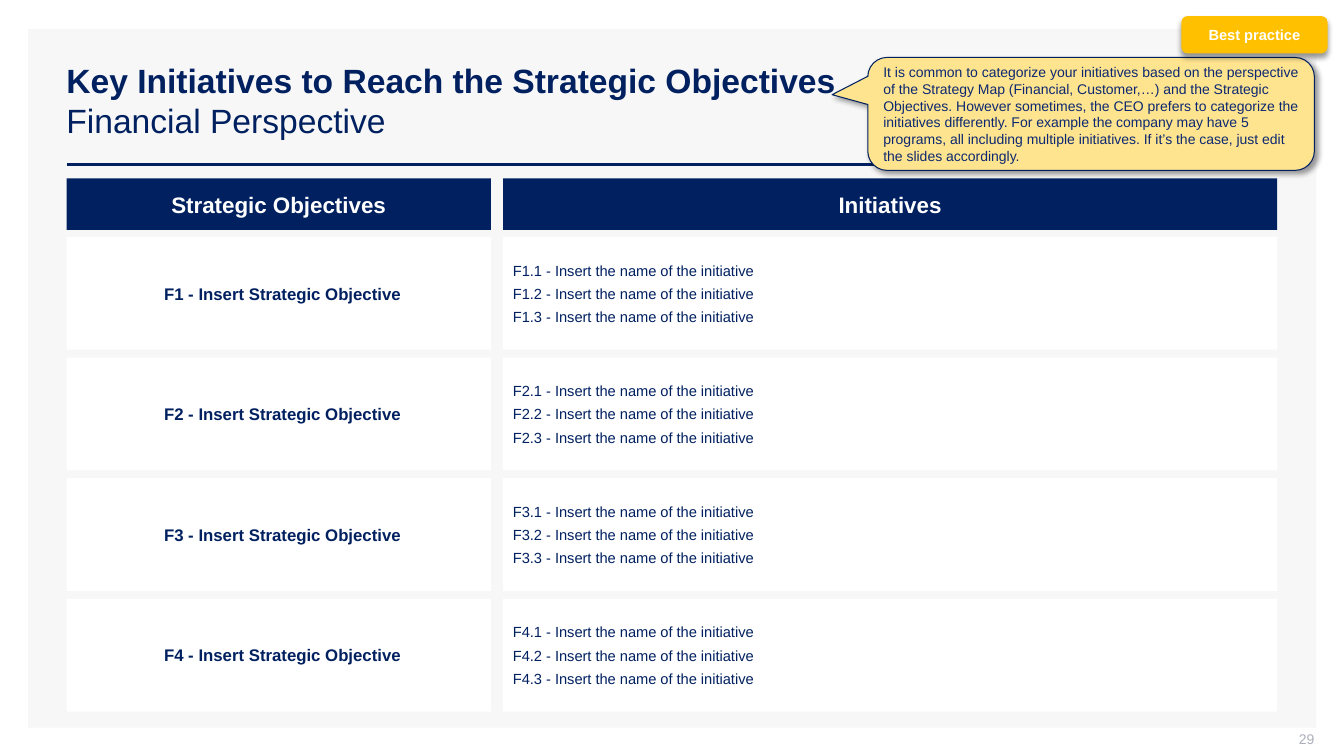
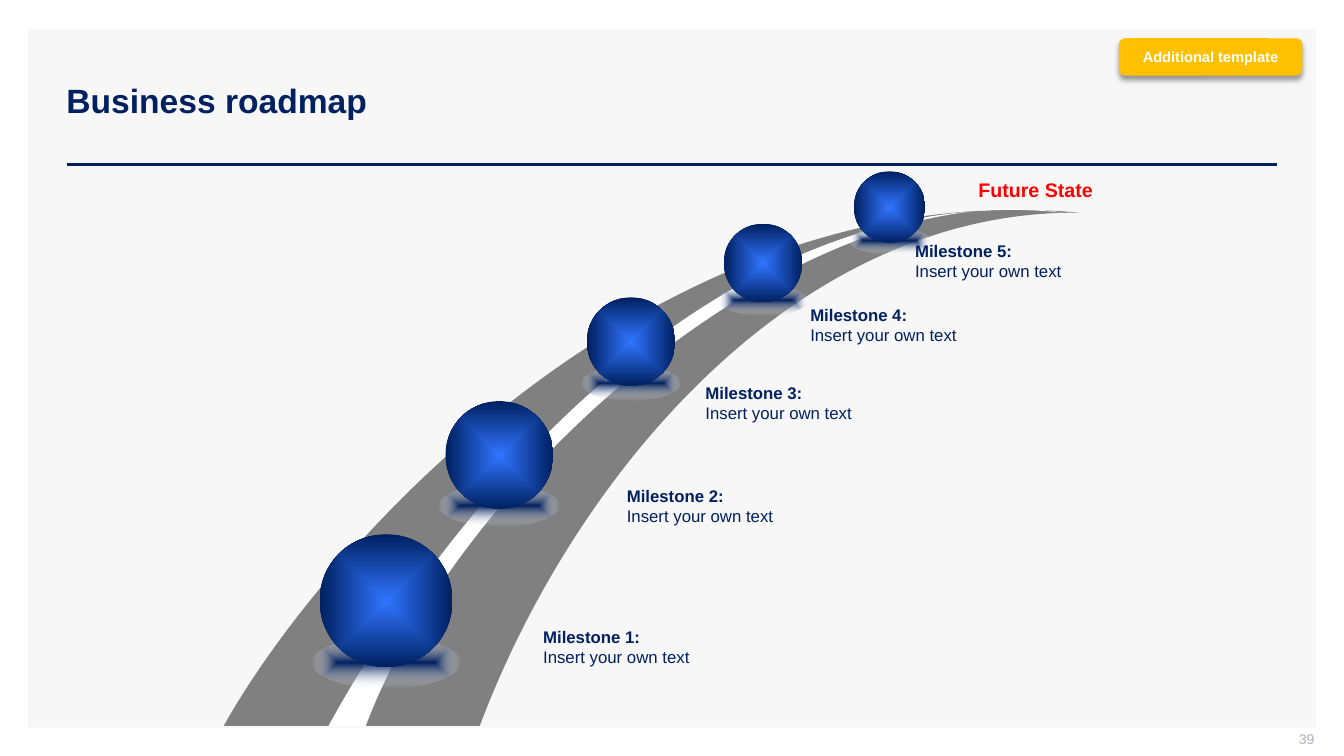
from lxml import etree
from pptx import Presentation
from pptx.dml.color import RGBColor
from pptx.enum.dml import MSO_LINE
from pptx.enum.shapes import MSO_CONNECTOR, MSO_SHAPE
from pptx.enum.text import MSO_ANCHOR, MSO_AUTO_SIZE, PP_ALIGN
from pptx.oxml import parse_xml
from pptx.oxml.ns import nsdecls, qn
from pptx.util import Inches, Pt

RECTANGLE = MSO_SHAPE.RECTANGLE
ROUNDED = MSO_SHAPE.ROUNDED_RECTANGLE
CALLOUT = MSO_SHAPE.ROUNDED_RECTANGULAR_CALLOUT
OVAL = MSO_SHAPE.OVAL
STRAIGHT = MSO_CONNECTOR.STRAIGHT
DASH = MSO_LINE.DASH
TOP, MIDDLE = MSO_ANCHOR.TOP, MSO_ANCHOR.MIDDLE
GROW = MSO_AUTO_SIZE.SHAPE_TO_FIT_TEXT
LEFT, CENTER, RIGHT = PP_ALIGN.LEFT, PP_ALIGN.CENTER, PP_ALIGN.RIGHT

FONT = "Arial"
NAVY, WHITE, PANEL, AMBER = "002060", "FFFFFF", "F7F7F7", "FFC000"
PALE_AMBER, NOTE_TEXT, PAGE_GREY = "FFE48F", "0C2870", "ADAFBB"
ROAD_GREY, RED, BRIGHT_BLUE = "808080", "FF0000", "3075FF"

CONTENT_LEFT, CONTENT_RIGHT = 0.66, 12.67
CELL_MARGINS = (0.1, 0.05, 0.02, 0.05)


def color(hex_value):
    return RGBColor.from_string(hex_value)


def write(shape, lines, size=12, ink=NAVY, bold=False, align=LEFT, anchor=MIDDLE,
          margins=(0.1, 0.05, 0.1, 0.05), gap=0, one_paragraph=False, grow=False):
    """Fill a shape with lines, each a string or a (string, bold) pair."""
    frame = shape.text_frame
    frame.word_wrap = True
    frame.vertical_anchor = anchor
    if grow:
        frame.auto_size = GROW
    (frame.margin_left, frame.margin_top,
     frame.margin_right, frame.margin_bottom) = map(Inches, margins)
    paragraph = frame.paragraphs[0]
    for index, line in enumerate(lines):
        text, is_bold = (line, bold) if isinstance(line, str) else line
        if index and one_paragraph:
            paragraph.add_line_break()
        elif index:
            paragraph = frame.add_paragraph()
            if gap:
                paragraph.space_before = Pt(gap)
        paragraph.alignment = align
        run = paragraph.add_run()
        run.text = text
        run.font.name, run.font.size, run.font.bold = FONT, Pt(size), is_bold
        run.font.color.rgb = color(ink)


def add_text(slide, box, lines, **text_format):
    write(slide.shapes.add_textbox(*map(Inches, box)), lines, **text_format)


def paint(shape, fill, line=None):
    shape.shadow.inherit = False
    shape.fill.solid()
    shape.fill.fore_color.rgb = color(fill)
    if line:
        shape.line.color.rgb = color(line)
        shape.line.width = Pt(0.75)
    else:
        shape.line.fill.background()


def add_box(slide, kind, box, fill, line=None):
    shape = slide.shapes.add_shape(kind, *map(Inches, box))
    paint(shape, fill, line)
    return shape


def add_line(slide, start, end, ink, width):
    line = slide.shapes.add_connector(STRAIGHT, *map(Inches, (*start, *end)))
    line.line.color.rgb = color(ink)
    line.line.width = Pt(width)
    etree.SubElement(line._element.spPr, qn("a:effectLst"))
    return line


def drop_shadow(shape, angle):
    effects = shape._element.spPr.find(qn("a:effectLst"))
    effects.append(parse_xml(
        f'<a:outerShdw {nsdecls("a")} blurRad="{Pt(4)}" dist="{Pt(3)}" '
        f'dir="{angle * 60000}" algn="ctr" rotWithShape="0"><a:srgbClr val="000000">'
        '<a:alpha val="40000"/></a:srgbClr></a:outerShdw>'))


def radial_fill(shape, inner, outer, outer_alpha=100):
    solid = shape._element.spPr.find(qn("a:solidFill"))
    gradient = parse_xml(
        f'<a:gradFill {nsdecls("a")} rotWithShape="1"><a:gsLst>'
        f'<a:gs pos="0"><a:srgbClr val="{inner}"/></a:gs>'
        f'<a:gs pos="100000"><a:srgbClr val="{outer}">'
        f'<a:alpha val="{outer_alpha * 1000}"/></a:srgbClr></a:gs></a:gsLst>'
        '<a:path path="shape"><a:fillToRect l="50000" t="50000" r="50000" b="50000"/>'
        '</a:path></a:gradFill>')
    solid.getparent().replace(solid, gradient)


def add_frame(presentation, title_lines, page):
    """Start a slide with the shared panel, rule, title and page number."""
    slide = presentation.slides.add_slide(presentation.slide_layouts[6])
    add_box(slide, RECTANGLE, (0.28, 0.29, 12.78, 6.93), PANEL)
    add_line(slide, (CONTENT_LEFT, 1.63), (CONTENT_RIGHT, 1.63), NAVY, 2)
    add_text(slide, (0.56, 0.4, 12.11, 1.19), title_lines, size=24, one_paragraph=True)
    add_text(slide, (10.04, 7.25, 3, 0.21), [str(page)], size=10, ink=PAGE_GREY,
             align=RIGHT, margins=(0.1, 0, 0, 0.05))
    return slide


def add_tag(slide, box, text):
    tag = add_box(slide, ROUNDED, box, AMBER)
    drop_shadow(tag, 90)
    write(tag, [text], size=10.5, ink=WHITE, bold=True, align=CENTER)


def add_note(slide, box, text):
    note = add_box(slide, CALLOUT, box, PALE_AMBER, NAVY)
    for index, value in enumerate((-0.58, -0.17, 0.17)):
        note.adjustments[index] = value
    drop_shadow(note, 45)
    write(note, [text], size=10, ink=NOTE_TEXT)


def add_objectives_grid(slide, box, rows=4, initiatives=3):
    left, top, width, height = box
    header_height, header_gap, row_height, column_gap = 0.51, 0.07, 1.12, 0.12
    objective_width = 4.21
    columns = ((left, objective_width),
               (left + objective_width + column_gap, width - objective_width - column_gap))

    # Column headings
    for (x, w), heading in zip(columns, ("Strategic Objectives", "Initiatives")):
        header = add_box(slide, RECTANGLE, (x, top, w, header_height), NAVY)
        write(header, [heading], size=16, ink=WHITE, bold=True, align=CENTER)

    # One row for each objective
    first_row = top + header_height + header_gap
    pitch = (top + height - row_height - first_row) / (rows - 1)
    for row in range(rows):
        code = f"F{row + 1}"
        objective, initiative = (
            add_box(slide, RECTANGLE, (x, first_row + row * pitch, w, row_height), WHITE)
            for x, w in columns)
        write(objective, [f"{code} - Insert Strategic Objective"], bold=True,
              align=CENTER, margins=CELL_MARGINS)
        write(initiative,
              [f"{code}.{number + 1} - Insert the name of the initiative"
               for number in range(initiatives)],
              size=10.5, margins=CELL_MARGINS, gap=4)


def curve_point(curve, t):
    weights = ((1 - t) ** 3, 3 * t * (1 - t) ** 2, 3 * t * t * (1 - t), t ** 3)
    return tuple(Inches(sum(weight * point[axis] for weight, point in zip(weights, curve)))
                 for axis in (0, 1))


def add_lane(slide, left_edge, right_edge, fill):
    """Fill the area between an edge going up and an edge coming back down."""
    # Sampled points give the shape its bounds
    samples = [curve_point(edge, step / 60)
               for edge in (left_edge, right_edge) for step in range(61)]
    builder = slide.shapes.build_freeform(*samples[0])
    builder.add_line_segments(samples[1:], close=True)
    lane = builder.convert_to_shape()
    paint(lane, fill)

    # Two true curves take the place of the sampled segments
    outline = next(lane._element.iter(qn("a:path")))
    for segment in list(outline)[1:-1]:
        outline.remove(segment)
    for position, edge in enumerate((left_edge, right_edge), 1):
        curve = etree.Element(qn("a:cubicBezTo"))
        for x, y in edge[1:]:
            etree.SubElement(curve, qn("a:pt"), x=str(Inches(x) - lane.left),
                             y=str(Inches(y) - lane.top))
        outline.insert(position, curve)


def add_road(slide, left, bottom):
    def place(*offsets):
        return [(left + x, bottom - y) for x, y in offsets]

    # Asphalt, then centre stripe
    add_lane(slide,
             place((0, 0), (0.93, 1.67), (4.21, 5.49), (8.49, 5.09)),
             place((8.49, 5.09), (5.65, 5.12), (3.46, 2.45), (2.54, 0)), ROAD_GREY)
    add_lane(slide,
             place((1.04, 0), (1.95, 1.67), (4.67, 5.48), (8.33, 5.09)),
             place((8.33, 5.09), (5.71, 5.5), (2.32, 2.45), (1.41, 0)), WHITE)

    # Thin dashed mark across the stripe
    mark = add_line(slide, *place((3.25, 3.16), (3.42, 3.16)), ROAD_GREY, 0.5)
    mark.line.dash_style = DASH


def add_ball(slide, left, top, size):
    shade_width = 1.12 * size
    shade = add_box(slide, OVAL, (left - 0.06 * size, top + 0.77 * size,
                                  shade_width, 0.35 * shade_width), NAVY)
    radial_fill(shade, NAVY, WHITE, outer_alpha=0)
    ball = add_box(slide, OVAL, (left, top, size, size), NAVY)
    radial_fill(ball, BRIGHT_BLUE, NAVY)


def build_initiatives(presentation):
    slide = add_frame(presentation, [
        ("Key Initiatives to Reach the Strategic Objectives", True),
        "Financial Perspective"], 29)
    add_objectives_grid(
        slide, (CONTENT_LEFT, 1.77, CONTENT_RIGHT - CONTENT_LEFT, 5.29))
    add_note(slide, (8.61, 0.57, 4.43, 1.12),
             "It is common to categorize your initiatives based on the perspective of "
             "the Strategy Map (Financial, Customer,…) and the Strategic Objectives. "
             "However sometimes, the CEO prefers to categorize the initiatives "
             "differently. For example the company may have 5 programs, all including "
             "multiple initiatives. If it’s the case, just edit the slides accordingly.")
    add_tag(slide, (11.72, 0.16, 1.45, 0.37), "Best practice")


def build_roadmap(presentation):
    slide = add_frame(presentation, [("Business roadmap", True)], 39)
    add_road(slide, 2.22, 7.2)

    # Milestones: ball left, top, size; label left, top
    milestones = (
        ((3.17, 5.3, 1.32), (5.29, 6.17)),
        ((4.42, 3.98, 1.07), (6.12, 4.77)),
        ((5.82, 2.95, 0.88), (6.9, 3.75)),
        ((7.18, 2.22, 0.78), (7.94, 2.97)),
        ((8.47, 1.7, 0.71), (8.98, 2.34)),
    )
    for number, (ball, label) in enumerate(milestones, 1):
        add_ball(slide, *ball)
        add_text(slide, (*label, 2.11, 0.71),
                 [(f"Milestone {number}:", True), "Insert your own text"],
                 anchor=TOP, grow=True)

    add_text(slide, (9.22, 1.72, 2.11, 0.34), ["Future State"], size=14, ink=RED,
             bold=True, align=CENTER, anchor=TOP, grow=True)
    add_tag(slide, (11.1, 0.38, 1.82, 0.37), "Additional template")


def main():
    presentation = Presentation()
    presentation.slide_width = Inches(40 / 3)
    presentation.slide_height = Inches(7.5)
    build_initiatives(presentation)
    build_roadmap(presentation)
    presentation.save("out.pptx")


if __name__ == "__main__":
    main()
